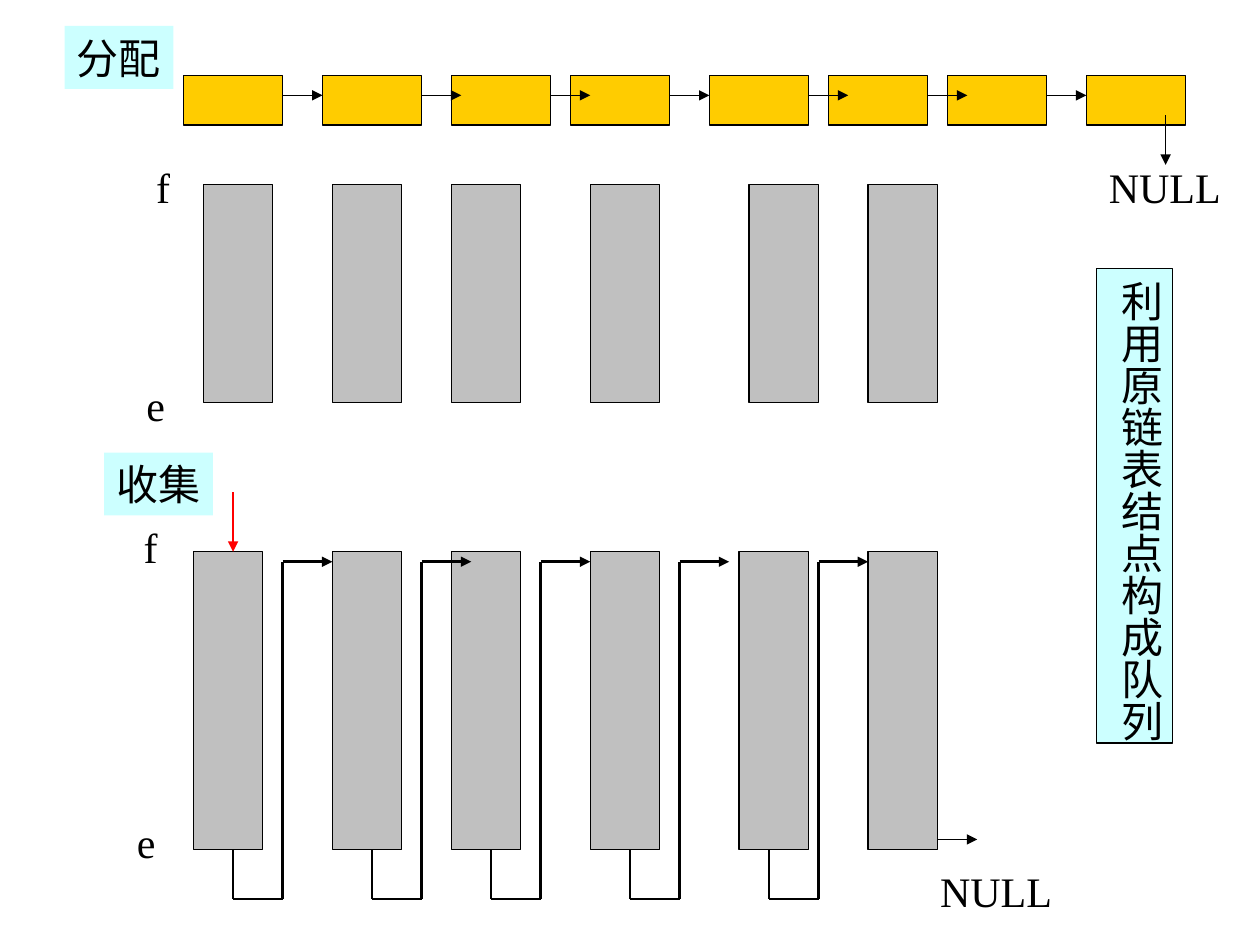
import pptx
import pptx.dml.color
import pptx.enum.shapes
import pptx.enum.text
import pptx.oxml.ns
import pptx.util
from lxml import etree

Pt = pptx.util.Pt
RGBColor = pptx.dml.color.RGBColor
BLACK = RGBColor(0x00, 0x00, 0x00)
RED = RGBColor(0xFF, 0x00, 0x00)
GRAY = RGBColor(0xC0, 0xC0, 0xC0)
GOLD = RGBColor(0xFF, 0xCC, 0x00)
CYAN = RGBColor(0xCC, 0xFF, 0xFF)

THIN = 0.75
THICK = 1.5
NODE_WIDTH, NODE_HEIGHT, NODE_TOP = 56.7, 28.35, 43.1
QUEUE_WIDTH = 39.7
NODE_LEFTS = [104.9, 184.2, 257.9, 326, 405.3, 473.4, 541.4, 620.8]
EMPTY_QUEUE_LEFTS = [116.2, 189.9, 257.9, 337.3, 428, 496]
FULL_QUEUE_LEFTS = [110.5, 189.9, 257.9, 337.3, 422.3, 496]
LINK_STARTS = [133.2, 212.6, 280.6, 360, 439.4]


class SlideWriter:
    font = "Times New Roman"
    size = 24

    def __init__(self, page):
        self.page = page

    def block(self, left, top, width, height, color):
        shape = self.page.shapes.add_shape(
            pptx.enum.shapes.MSO_SHAPE.RECTANGLE,
            Pt(left), Pt(top), Pt(width), Pt(height))
        shape.shadow.inherit = False
        shape.fill.solid()
        shape.fill.fore_color.rgb = color
        shape.line.color.rgb = BLACK
        shape.line.width = Pt(THIN)

    def line(self, start, end, width=THIN, color=BLACK, arrow=False):
        connector = self.page.shapes.add_connector(
            pptx.enum.shapes.MSO_CONNECTOR.STRAIGHT,
            *[Pt(value) for value in (*start, *end)])
        connector.line.color.rgb = color
        connector.line.width = Pt(width)
        qualify = pptx.oxml.ns.qn
        if arrow:
            outline = connector.line._get_or_add_ln()
            etree.SubElement(outline, qualify("a:tailEnd"), type="triangle")
        etree.SubElement(connector._element.spPr, qualify("a:effectLst"))

    def label(self, text, left, top, width, height=36, fill=None, vertical=False):
        box = self.page.shapes.add_textbox(Pt(left), Pt(top), Pt(width), Pt(height))
        frame = box.text_frame
        frame.word_wrap = False
        frame.auto_size = pptx.enum.text.MSO_AUTO_SIZE.SHAPE_TO_FIT_TEXT
        side, end = (3.6, 7.2) if vertical else (7.2, 3.6)
        frame.margin_left = frame.margin_right = Pt(side)
        frame.margin_top = frame.margin_bottom = Pt(end)
        if fill is not None:
            box.fill.solid()
            box.fill.fore_color.rgb = fill
        if vertical:
            frame._txBody.bodyPr.set("vert", "eaVert")
            box.line.color.rgb = BLACK
            box.line.width = Pt(THIN)
        para = frame.paragraphs[0]
        span = para.add_run()
        span.text = text
        span.font.name = self.font
        span.font.size = Pt(self.size)
        span.font.color.rgb = BLACK


def draw_collection(writer):
    top, height, step = 315.3, 170.1, 28.35
    bottom = top + height
    low, high = bottom + step, top + 5.7
    for left in FULL_QUEUE_LEFTS:
        writer.block(left, top, QUEUE_WIDTH, height, GRAY)
    writer.label("f", 75, 294.5, 22.4)
    writer.label("e", 71.2, 463, 25)
    writer.line((133.2, 281.3), (133.2, top), THICK, RED, arrow=True)
    for start in LINK_STARTS:
        rise = start + step
        corners = [(start, bottom), (start, low), (rise, low), (rise, high)]
        for begin, end in zip(corners, corners[1:]):
            writer.line(begin, end, THICK)
        writer.line((rise, high), (rise + step, high), THICK, arrow=True)
    writer.line((535.7, 479.7), (558.4, 479.7), arrow=True)
    writer.label("NULL", 530.1, 491.3, 78.3)
    writer.label("收集", 59.5, 258.6, 62.2, fill=CYAN)


def draw_distribution(writer):
    for left in NODE_LEFTS:
        writer.block(left, NODE_TOP, NODE_WIDTH, NODE_HEIGHT, GOLD)
    for left in EMPTY_QUEUE_LEFTS:
        writer.block(left, 105.5, QUEUE_WIDTH, 124.7, GRAY)
    writer.label("分配", 36.9, 14.8, 62.2, fill=CYAN)
    for left in NODE_LEFTS[:-1]:
        right = left + NODE_WIDTH
        writer.line((right, 54.5), (right + 22.7, 54.5), arrow=True)
    writer.label("NULL", 626.5, 88.6, 78.3)
    writer.line((666.1, 65.8), (666.1, 94.2), arrow=True)
    writer.label("f", 82.2, 88.6, 22.4)
    writer.label("e", 76.6, 213.3, 25)
    writer.label("利用原链表结点构成队列", 626.8, 153.3, 43.2, 271.4, CYAN, vertical=True)


def main():
    deck = pptx.Presentation()
    deck.slide_width, deck.slide_height = Pt(720), Pt(540)
    page = deck.slides.add_slide(deck.slide_layouts[6])
    writer = SlideWriter(page)
    draw_collection(writer)
    draw_distribution(writer)
    deck.save("out.pptx")


if __name__ == "__main__":
    main()
